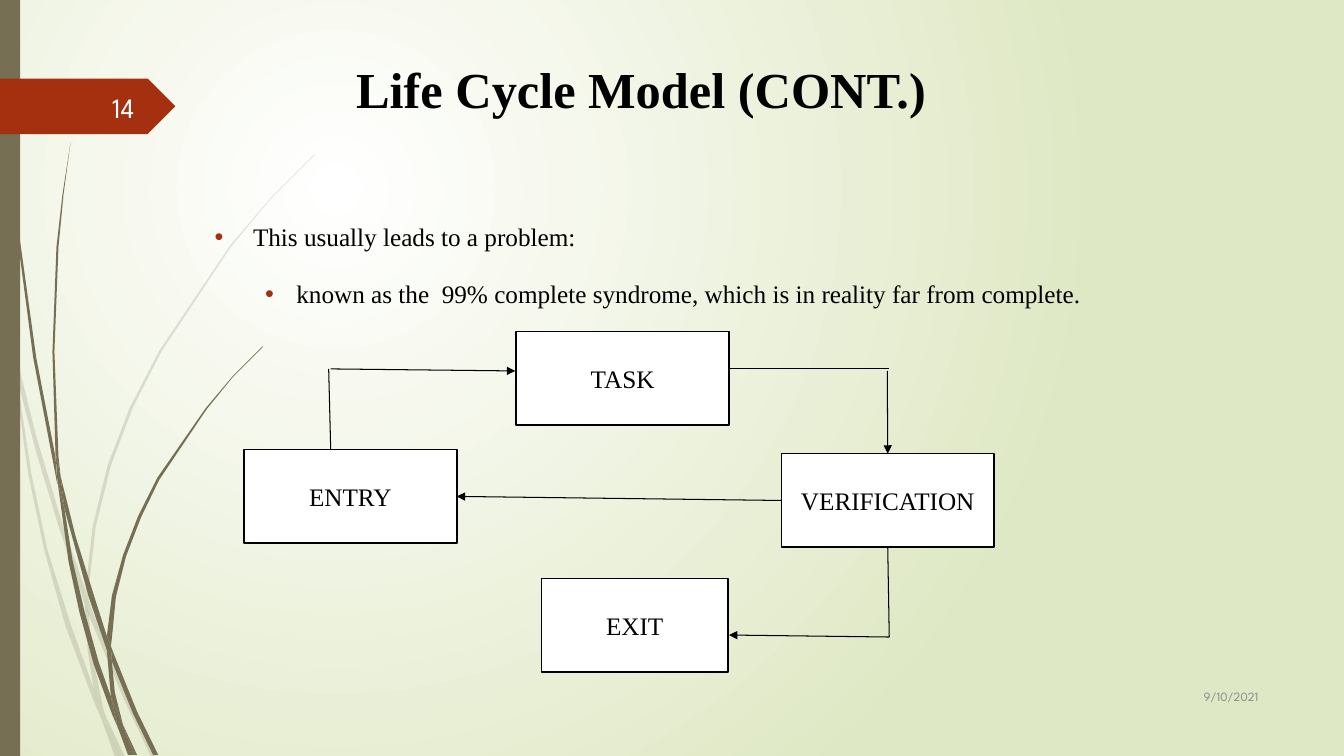
from lxml import etree
from pptx import Presentation
from pptx.dml.color import RGBColor
from pptx.enum.shapes import MSO_CONNECTOR, MSO_SHAPE
from pptx.enum.text import MSO_ANCHOR, PP_ALIGN
from pptx.oxml.ns import qn
from pptx.util import Inches, Pt

RECTANGLE, PENTAGON = MSO_SHAPE.RECTANGLE, MSO_SHAPE.PENTAGON
STRAIGHT = MSO_CONNECTOR.STRAIGHT
MIDDLE, TOP = MSO_ANCHOR.MIDDLE, MSO_ANCHOR.TOP
CENTER, RIGHT, JUSTIFY = PP_ALIGN.CENTER, PP_ALIGN.RIGHT, PP_ALIGN.JUSTIFY
TOP_SIDE, LEFT_SIDE, BOTTOM_SIDE, RIGHT_SIDE = range(4)
SERIF, SANS = "Times New Roman", "League Spartan"
BLACK, WHITE, OLIVE, RUST = "000000", "FFFFFF", "766F54", "A53010"


def paint(color_format, hex_color):
    color_format.rgb = RGBColor.from_string(hex_color)


def write(paragraph, text, size, font, color, align):
    paragraph.alignment = align
    run = paragraph.add_run()
    run.text = text
    run.font.size = Pt(size)
    run.font.name = font
    paint(run.font.color, color)
    return run


prs = Presentation()
prs.slide_width, prs.slide_height = Inches(13.33), Inches(7.5)
slide = prs.slides.add_slide(prs.slide_layouts[5])
shapes = slide.shapes

# Background: circular gradient centred in the upper left quarter
background = slide.background.fill
background.gradient()
for stop, color in zip(background.gradient_stops, (WHITE, "DFE8C4")):
    paint(stop.color, color)
gradient = slide.background._cSld.find(".//" + qn("a:gradFill"))
gradient.remove(gradient.find(qn("a:lin")))
circle = etree.SubElement(gradient, qn("a:path"), path="circle")
etree.SubElement(circle, qn("a:fillToRect"), l="50000", t="50000", r="100000", b="100000")

# Grass blades in pieces that meet edge to edge: a pale tuft and a solid one
pale_tuft = [
    [(0, 2.82), (0.09, 3.22), (0.11, 3.5), (0.1, 3.44), (0, 2.99)],
    [(0.14, 3.45), (0.36, 4.33), (0.62, 5.2), (0.85, 5.86), (0.84, 5.99), (0.58, 5.22),
     (0.36, 4.49), (0.17, 3.76)],
    [(0.88, 5.96), (0.92, 6.07), (1.27, 6.92), (1.55, 7.51), (1.5, 7.51), (1.23, 6.94),
     (0.88, 6.1)],
    [(1.05, 7.11), (1.24, 7.51), (1.19, 7.51)],
    [(0.11, 3.5), (0.17, 3.76), (0.31, 4.69), (0.47, 5.45), (0.7, 6.19), (0.93, 6.83),
     (0.99, 7.07), (1.01, 7.14), (0.92, 6.93), (0.65, 6.21), (0.44, 5.46), (0.28, 4.7)],
    [(0.84, 5.99), (0.88, 6.08), (0.91, 6.46), (1.03, 7.06), (1.05, 7.11), (0.96, 6.92),
     (0.93, 6.83), (0.87, 6.46)],
    [(3.12, 1.53), (2.68, 1.97), (2.28, 2.44), (1.58, 3.48), (1.29, 4.04), (1.07, 4.61),
     (0.92, 5.22), (0.85, 5.84), (0.88, 5.96), (0.88, 5.84), (0.95, 5.22), (1.1, 4.62),
     (1.32, 4.04), (1.6, 3.49), (2.29, 2.45), (2.68, 1.98), (3.12, 1.54)],
    [(1.01, 7.14), (1.19, 7.51), (1.14, 7.51)],
    [(0.85, 5.86), (0.88, 5.96), (0.88, 6.1), (0.84, 5.99)],
    [(0.93, 6.83), (0.96, 6.92), (1.05, 7.11), (1.19, 7.51), (1.01, 7.14), (0.99, 7.07)],
]
solid_tuft = [
    [(0.03, 0), (0.04, 0), (0.08, 1.09), (0.19, 2.32), (0.36, 3.55), (0.55, 4.53),
     (0.57, 4.81), (0.33, 3.55), (0.17, 2.33), (0.07, 1.1)],
    [(0.6, 4.72), (0.75, 5.32), (0.93, 5.9), (1.06, 6.31), (1.06, 6.45), (0.88, 5.92),
     (0.64, 5.05)],
    [(1.1, 6.41), (1.13, 6.49), (1.36, 7.06), (1.57, 7.49), (1.52, 7.49), (1.32, 7.08),
     (1.11, 6.56)],
    [(0.57, 4.77), (0.64, 5.05), (0.72, 5.56), (0.84, 6.07), (0.98, 6.57), (1.1, 6.91),
     (1.17, 7.22), (1.11, 7.08), (0.93, 6.59), (0.79, 6.08), (0.68, 5.57)],
    [(0.7, 1.41), (0.63, 1.93), (0.58, 2.45), (0.54, 3.49), (0.58, 4.53), (0.6, 4.72),
     (0.55, 4.49), (0.52, 3.49), (0.56, 2.45), (0.62, 1.93)],
    [(1.22, 7.19), (1.36, 7.49), (1.33, 7.49)],
    [(0.55, 4.49), (0.6, 4.72), (0.64, 5.05), (0.57, 4.77)],
    [(2.6, 3.44), (2.31, 3.73), (2.04, 4.05), (1.56, 4.74), (1.37, 5.12), (1.22, 5.51),
     (1.11, 5.91), (1.06, 6.31), (1.1, 6.41), (1.11, 6.33), (1.15, 5.92), (1.25, 5.52),
     (1.4, 5.13), (1.58, 4.76), (2.05, 4.06), (2.31, 3.74), (2.61, 3.44)],
    [(1.17, 7.22), (1.31, 7.49), (1.27, 7.49)],
    [(1.06, 6.45), (1.11, 6.56), (1.14, 6.87), (1.22, 7.19), (1.1, 6.91)],
    [(1.06, 6.31), (1.1, 6.41), (1.11, 6.56), (1.06, 6.45)],
    [(1.1, 6.91), (1.22, 7.19), (1.33, 7.49), (1.3, 7.49), (1.17, 7.22)],
]
for opacity, tuft in [(20, pale_tuft), (100, solid_tuft)]:
    for piece in tuft:
        outline = [(Inches(x), Inches(y)) for x, y in piece]
        builder = shapes.build_freeform(*outline[0], scale=1.0)
        builder.add_line_segments(outline[1:], close=True)
        blade = builder.convert_to_shape()
        blade.shadow.inherit = False
        blade.line.fill.background()
        blade.fill.solid()
        paint(blade.fill.fore_color, OLIVE)
        blade_color = blade._element.spPr.find(".//" + qn("a:srgbClr"))
        etree.SubElement(blade_color, qn("a:alpha"), val=str(opacity * 1000))

# Side bar and page number tag
for preset, color, *place in [(RECTANGLE, OLIVE, 0, 0, 0.2, 7.5),
                              (PENTAGON, RUST, 0, 0.78, 1.74, 0.55)]:
    band = shapes.add_shape(preset, *map(Inches, place))
    band.shadow.inherit = False
    band.line.fill.background()
    band.fill.solid()
    paint(band.fill.fore_color, color)

# Page number and date
for text, size, color, *place in [("14", 20, "FEFFFF", 0.58, 0.86, 0.85, 0.4),
                                  ("9/10/2021", 9, "8C8C8C", 11.33, 6.7, 1.25, 0.41)]:
    footer = shapes.add_textbox(*map(Inches, place)).text_frame
    footer.word_wrap = True
    footer.vertical_anchor = MIDDLE
    write(footer.paragraphs[0], text, size, SANS, color, RIGHT)

# Title
title = shapes.title
title.left, title.top, title.width, title.height = map(Inches, (2.11, 0.25, 8.5, 1.25))
title.text_frame.vertical_anchor = MIDDLE
heading = title.text_frame.paragraphs[0]
heading.space_before = Pt(10)
write(heading, "Life Cycle Model (CONT.)", 36, SERIF, BLACK, CENTER).font.bold = True

# Bulleted text
body = shapes.add_textbox(*map(Inches, (2.11, 2, 8.8, 4.95))).text_frame
body.word_wrap = True
body.vertical_anchor = TOP
for frame in (title.text_frame, body):
    frame.margin_left = frame.margin_right = Inches(0.02)
points = [
    ("This usually leads to a problem:", 0.38, 0.38, 8.9),
    ("known as the  99% complete syndrome, which is in reality far from complete.",
     0.81, 0.31, 8),
]
for level, (text, indent, hanging, before) in enumerate(points):
    point = body.add_paragraph() if level else body.paragraphs[0]
    point.level = level
    point.line_spacing = 1.5
    point.space_before = Pt(before)
    write(point, text, 18, SERIF, BLACK, JUSTIFY)
    properties = point._p.get_or_add_pPr()
    properties.set("marL", str(Inches(indent)))
    properties.set("indent", str(-Inches(hanging)))
    bullet_color = etree.SubElement(properties, qn("a:buClr"))
    etree.SubElement(bullet_color, qn("a:srgbClr"), val=RUST)
    etree.SubElement(properties, qn("a:buFont"), typeface="Arial")
    etree.SubElement(properties, qn("a:buChar"), char="•")

# Stages of the cycle
BOX_HEIGHT = 0.93
stages = {}
for stage, left, top, width in [("ENTRY", 2.42, 4.46, 2.11), ("TASK", 5.12, 3.29, 2.11),
                                ("VERIFICATION", 7.75, 4.5, 2.11), ("EXIT", 5.37, 5.74, 1.85)]:
    box = shapes.add_shape(RECTANGLE, *map(Inches, (left, top, width, BOX_HEIGHT)))
    box.shadow.inherit = False
    box.fill.solid()
    paint(box.fill.fore_color, WHITE)
    paint(box.line.color, BLACK)
    box.line.width = Pt(1.25)
    label = box.text_frame
    label.word_wrap = False
    label.vertical_anchor = MIDDLE
    write(label.paragraphs[0], stage, 18, SERIF, BLACK, CENTER)
    stages[stage] = box

# Flow lines: ends, arrowhead, joined stage and side at either end
flows = [
    (3.28, 4.46, 3.26, 3.66, False, None, None),
    (3.28, 3.66, 5.11, 3.68, True, None, None),
    (7.23, 3.66, 8.82, 3.66, False, None, None),
    (8.8, 3.68, 8.8, 4.5, True, None, ("VERIFICATION", TOP_SIDE)),
    (7.75, 4.97, 4.52, 4.92, True, ("VERIFICATION", LEFT_SIDE), ("ENTRY", RIGHT_SIDE)),
    (8.8, 5.43, 8.82, 6.32, False, ("VERIFICATION", BOTTOM_SIDE), None),
    (8.82, 6.32, 7.23, 6.3, True, None, None),
]
for *ends, arrow, origin, target in flows:
    flow = shapes.add_connector(STRAIGHT, *map(Inches, ends))
    if origin:
        flow.begin_connect(stages[origin[0]], origin[1])
    if target:
        flow.end_connect(stages[target[0]], target[1])
    paint(flow.line.color, BLACK)
    flow.line.width = Pt(0.75)
    if arrow:
        etree.SubElement(flow.line._get_or_add_ln(), qn("a:tailEnd"), type="triangle")
    etree.SubElement(flow._element.spPr, qn("a:effectLst"))

prs.save("out.pptx")
